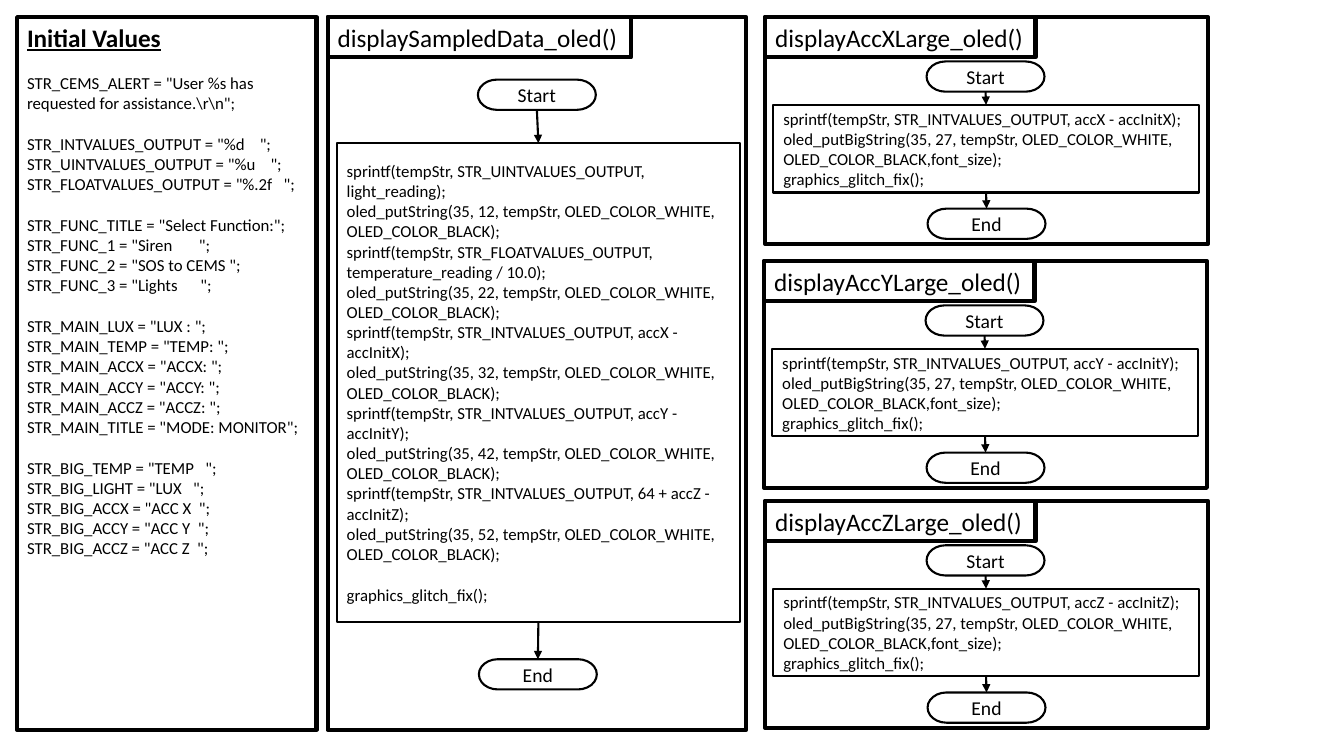
from lxml import etree
from pptx import Presentation
from pptx import util as u
from pptx.dml.color import RGBColor
from pptx.enum import shapes, text
from pptx.oxml.ns import qn

BLACK, WHITE = "000000", "FFFFFF"
SHAPE = shapes.MSO_SHAPE
BOTTOM, TOP = 2, 0
BLANK_LINE = 14.65

INITIAL_VALUES = [
    ['STR_CEMS_ALERT = "User %s has requested for assistance.\\r\\n";'],
    ['STR_INTVALUES_OUTPUT = "%d    ";',
     'STR_UINTVALUES_OUTPUT = "%u    ";',
     'STR_FLOATVALUES_OUTPUT = "%.2f   ";'],
    ['STR_FUNC_TITLE = "Select Function:";',
     'STR_FUNC_1 = "Siren       ";',
     'STR_FUNC_2 = "SOS to CEMS ";',
     'STR_FUNC_3 = "Lights      ";'],
    ['STR_MAIN_LUX = "LUX : ";',
     'STR_MAIN_TEMP = "TEMP: ";',
     'STR_MAIN_ACCX = "ACCX: ";',
     'STR_MAIN_ACCY = "ACCY: ";',
     'STR_MAIN_ACCZ = "ACCZ: ";',
     'STR_MAIN_TITLE = "MODE: MONITOR";'],
    ['STR_BIG_TEMP = "TEMP   ";',
     'STR_BIG_LIGHT = "LUX   ";',
     'STR_BIG_ACCX = "ACC X  ";',
     'STR_BIG_ACCY = "ACC Y  ";',
     'STR_BIG_ACCZ = "ACC Z  ";'],
]

SAMPLED_DATA = [
    ("UINT", "light_reading"),
    ("FLOAT", "temperature_reading / 10.0"),
    ("INT", "accX - accInitX"),
    ("INT", "accY - accInitY"),
    ("INT", "64 + accZ - accInitZ"),
]


def color(value):
    return RGBColor.from_string(value)


def add_text(tf, content, size=12, bold=False, underline=False, align=None, before=0):
    p = tf.paragraphs[0]
    if p.runs:
        p = tf.add_paragraph()
    p.alignment = align or text.PP_ALIGN.LEFT
    p.space_before = u.Pt(before)
    r = p.add_run()
    r.text = content
    r.font.name = "Calibri"
    r.font.size = u.Pt(size)
    r.font.bold = bold
    r.font.underline = underline
    r.font.color.rgb = color(BLACK)


def add_groups(tf, groups, first_gap=0):
    for g, lines in enumerate(groups):
        for n, line in enumerate(lines):
            gap = BLANK_LINE if g else first_gap
            add_text(tf, line, before=0 if n else gap)


def add_box(s, kind, x, y, w, h, line=1.5, anchor=text.MSO_ANCHOR.MIDDLE, wrap=True):
    sp = s.shapes.add_shape(kind, *(u.Inches(v) for v in (x, y, w, h)))
    sp.shadow.inherit = False
    sp.fill.solid()
    sp.fill.fore_color.rgb = color(WHITE)
    sp.line.color.rgb = color(BLACK)
    sp.line.width = u.Pt(line)
    sp.text_frame.vertical_anchor = anchor
    sp.text_frame.word_wrap = wrap
    return sp


def add_panel(s, name, x, y, w, h, tag_width):
    add_box(s, SHAPE.FLOWCHART_PROCESS, x, y, w, h, line=3)
    tag = add_box(s, SHAPE.RECTANGLE, x, y, tag_width, 0.4, line=3,
                  anchor=text.MSO_ANCHOR.TOP, wrap=False)
    add_text(tag.text_frame, name, size=18)


def add_terminator(s, label, x, y):
    sp = add_box(s, SHAPE.FLOWCHART_TERMINATOR, x, y, 1.17, 0.3)
    add_text(sp.text_frame, label, size=14, align=text.PP_ALIGN.CENTER)
    return sp


def add_arrow(s, above, below):
    c = s.shapes.add_connector(shapes.MSO_CONNECTOR.STRAIGHT, 0, 0, 0, 0)
    c.begin_connect(above, BOTTOM)
    c.end_connect(below, TOP)
    c.line.color.rgb = color(BLACK)
    c.line.width = u.Pt(1.5)
    etree.SubElement(c.line._get_or_add_ln(), qn("a:tailEnd"), type="triangle")
    etree.SubElement(c._element.spPr, qn("a:effectLst"))


def add_flow(s, x, start_y, end_y, code_at, groups):
    start = add_terminator(s, "Start", x, start_y)
    end = add_terminator(s, "End", x + 0.01, end_y)
    code = add_box(s, SHAPE.FLOWCHART_PROCESS, *code_at)
    add_groups(code.text_frame, groups)
    add_arrow(s, start, code)
    add_arrow(s, code, end)


def add_initial_values(s):
    sp = add_box(s, SHAPE.RECTANGLE, 0.17, 0.17, 2.97, 7.07, line=3,
                 anchor=text.MSO_ANCHOR.TOP)
    tf = sp.text_frame
    add_text(tf, "Initial Values", size=18, bold=True, underline=True)
    add_groups(tf, INITIAL_VALUES, first_gap=BLANK_LINE)


def add_sampled_data(s):
    add_panel(s, "displaySampledData_oled()", 3.25, 0.17, 4.15, 7.07, 3.01)
    lines = []
    for n, (kind, value) in enumerate(SAMPLED_DATA):
        lines += [
            f"sprintf(tempStr, STR_{kind}VALUES_OUTPUT, {value});",
            f"oled_putString(35, {12 + 10 * n}, tempStr, OLED_COLOR_WHITE, OLED_COLOR_BLACK);",
        ]
    add_flow(s, 4.74, 0.79, 6.54, (3.34, 1.42, 4, 4.75),
             [lines, ["graphics_glitch_fix();"]])


def add_axis_panel(s, axis, x, y):
    add_panel(s, f"displayAcc{axis}Large_oled()", x, y, 4.39, 2.25, 2.68)
    lines = [
        f"sprintf(tempStr, STR_INTVALUES_OUTPUT, acc{axis} - accInit{axis});",
        "oled_putBigString(35, 27, tempStr, OLED_COLOR_WHITE, OLED_COLOR_BLACK,font_size);",
        "graphics_glitch_fix();",
    ]
    add_flow(s, x + 1.6, y + 0.44, y + 1.9, (x + 0.08, y + 0.87, 4.22, 0.87), [lines])


def main():
    prs = Presentation()
    prs.slide_width, prs.slide_height = u.Inches(13.33), u.Inches(7.5)
    s = prs.slides.add_slide(prs.slide_layouts[6])
    add_initial_values(s)
    add_sampled_data(s)
    for axis, x, y in (("X", 7.59, 0.17), ("Y", 7.58, 2.59), ("Z", 7.59, 4.97)):
        add_axis_panel(s, axis, x, y)
    prs.save("out.pptx")


main()
